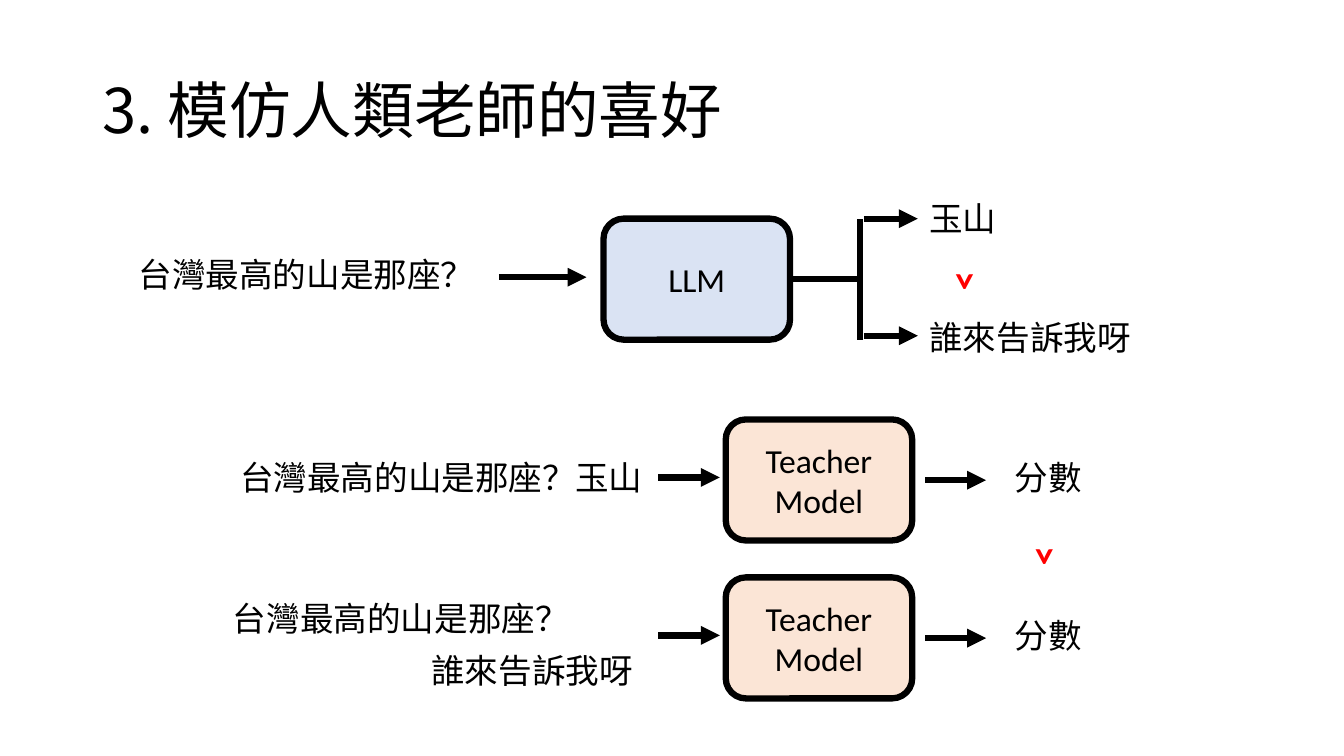
from lxml import etree
from pptx import Presentation
from pptx.dml.color import RGBColor
from pptx.enum import shapes as es, text as et
from pptx.oxml.ns import qn
from pptx.util import Cm, Pt

BLACK = RGBColor(0, 0, 0)
RED = RGBColor(0xFF, 0, 0)
BLUE = RGBColor(0xDA, 0xE3, 0xF3)
PEACH = RGBColor(0xFB, 0xE5, 0xD6)

BODY = {"name": "Calibri", "size": Pt(24)}
MARK = {"name": "Calibri", "size": Pt(28), "bold": True}
HEAD = {"name": "Noto Sans CJK SC", "size": Pt(44)}
LEFT, MID = et.PP_ALIGN.LEFT, et.PP_ALIGN.CENTER
BOX_W, BOX_H, TEXT_H = 4.7, 3.05, 1.27
ASK = "台灣最高的山是那座？"
GOOD, BAD = "玉山", "誰來告訴我呀"


def write(frame, words, form=BODY, color=BLACK, align=LEFT):
    frame.text = words
    frame.word_wrap = True
    for para in frame.paragraphs:
        para.alignment = align
        for key, val in form.items():
            setattr(para.font, key, val)
        para.font.color.rgb = color


def label(slide, words, x, y, w, align=LEFT):
    box = slide.shapes.add_textbox(Cm(x), Cm(y), Cm(w), Cm(TEXT_H))
    write(box.text_frame, words, align=align)


def better(slide, x, y):
    """Red sign, turned so that it opens upward."""
    box = slide.shapes.add_textbox(Cm(x), Cm(y), Cm(1.42), Cm(1.45))
    box.rotation = 90
    write(box.text_frame, ">", MARK, RED, MID)


def model(slide, words, x, y, fill):
    box = slide.shapes.add_shape(es.MSO_SHAPE.ROUNDED_RECTANGLE,
                                 Cm(x), Cm(y), Cm(BOX_W), Cm(BOX_H))
    box.shadow.inherit = False
    box.fill.solid()
    box.fill.fore_color.rgb = fill
    box.line.color.rgb = BLACK
    box.line.width = Pt(4.5)
    box.text_frame.vertical_anchor = et.MSO_ANCHOR.MIDDLE
    write(box.text_frame, words, align=MID)
    return box


def line(slide, x1, y1, x2, y2, arrow=True):
    link = slide.shapes.add_connector(es.MSO_CONNECTOR.STRAIGHT,
                                      Cm(x1), Cm(y1), Cm(x2), Cm(y2))
    link.line.color.rgb = BLACK
    link.line.width = Pt(4.5)
    if arrow:
        etree.SubElement(link.line._get_or_add_ln(), qn("a:tailEnd"), type="triangle")
    etree.SubElement(link._element.spPr, qn("a:effectLst"))
    return link


def title(slide, x, y, w, h):
    head = slide.shapes.title
    place = {"left": x, "top": y, "width": w, "height": h}
    for key, val in place.items():
        setattr(head, key, Cm(val))
    frame = head.text_frame
    frame.auto_size = et.MSO_AUTO_SIZE.NONE
    frame.vertical_anchor = et.MSO_ANCHOR.MIDDLE
    write(frame, "3. 模仿人類老師的喜好", HEAD)
    para = frame.paragraphs[0]
    para.line_spacing = 0.9
    etree.SubElement(para.runs[0].font._element, qn("a:ea"), typeface=HEAD["name"])


def student(slide, x, y):
    """Question, language model and its two possible answers."""
    top = y + 0.66
    mid = top + BOX_H / 2
    fork = x + 19

    label(slide, ASK, x, y + 1.42, 10.11, MID)
    line(slide, x + 9.9, mid - 0.05, x + 12.11, mid - 0.05)
    box = model(slide, "LLM", x + 12.54, top, BLUE)

    # Fork to the two answers
    stem = line(slide, x + 12.54 + BOX_W, mid, fork + 0.07, mid, False)
    stem.begin_connect(box, 3)
    for end in (top, top + BOX_H):
        line(slide, fork, mid, fork, end, False)
    for level in (top, top + 2.95):
        line(slide, fork + 0.1, level, fork + 1.46, level)
    label(slide, GOOD, x + 20.5, y, 4.7)
    label(slide, BAD, x + 20.5, y + 3, 6.2)
    better(slide, x + 21, y + 1.5)


def teacher(slide, x, y, ask, reply):
    """Question with one answer, scored by the teacher model."""
    for words, (dx, dy, w), align in ((ASK, ask, MID), reply):
        label(slide, words, x + dx, y + dy, w, align)
    line(slide, x + 11.54, y + 1.46, x + 13.09, y + 1.46)
    model(slide, "Teacher\nModel", x + 13.24, y, PEACH)
    line(slide, x + 18.27, y + 1.53, x + 19.8, y + 1.53)
    label(slide, "分數", x + 19.16, y + 0.81, 4.42, MID)


def main():
    deck = Presentation()
    deck.slide_width, deck.slide_height = Cm(33.87), Cm(19.05)
    slide = deck.slides.add_slide(deck.slide_layouts[5])

    title(slide, 2.33, 1.02, 29.21, 3.68)
    student(slide, 2.67, 4.85)

    # Two scored answers and their order
    rows = (
        ((0.18, 0.81, 10.11), (GOOD, (9.2, 0.83, 2.21), LEFT)),
        ((0, 0.39, 10.11), (BAD, (5.57, 1.71, 6.2), LEFT)),
    )
    for i, (ask, reply) in enumerate(rows):
        teacher(slide, 5.05, 10.57 + 3.98 * i, ask, reply)
    better(slide, 25.68, 13.28)

    deck.save("out.pptx")


if __name__ == "__main__":
    main()
